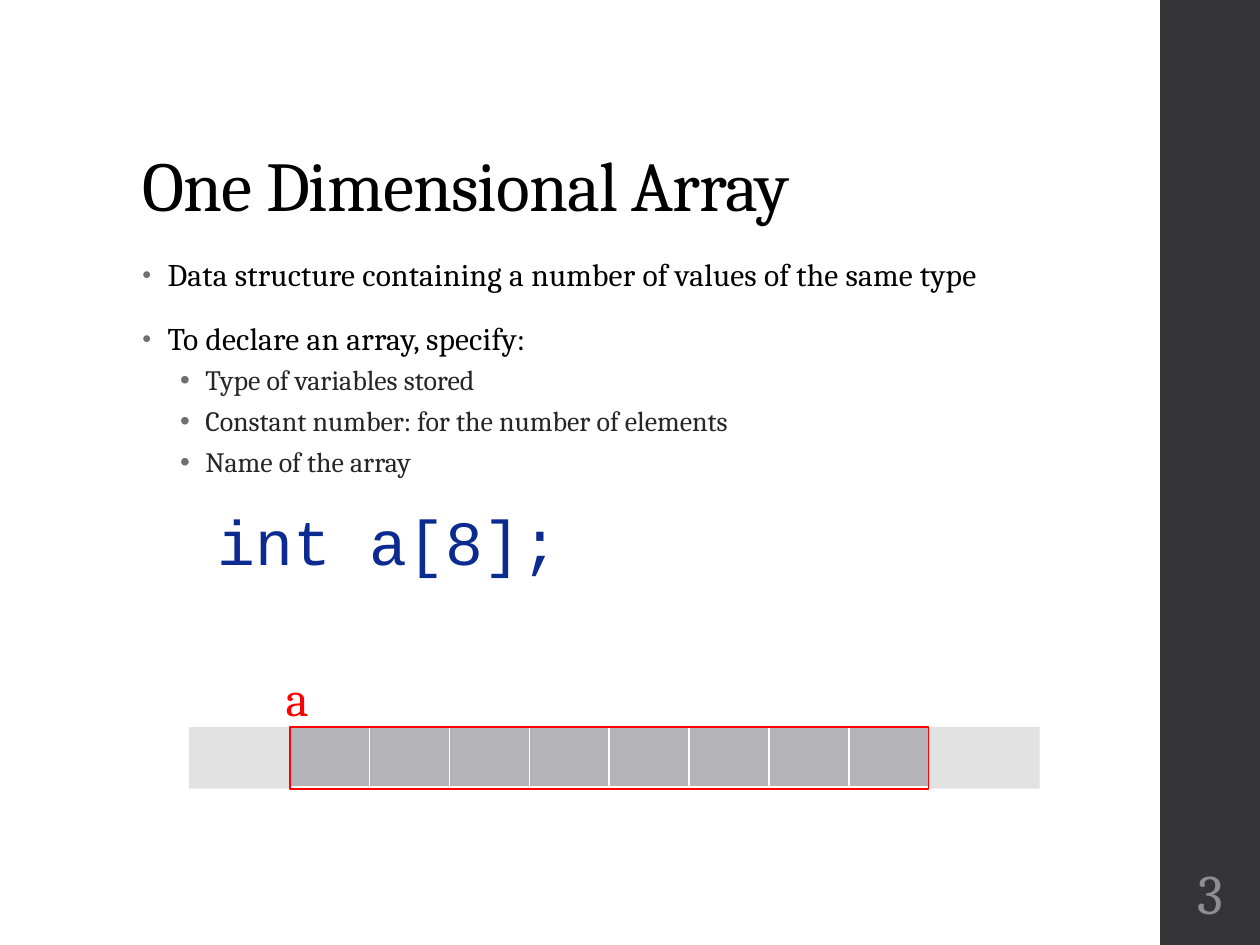
import pptx
import pptx.dml.color
import pptx.enum.shapes
import pptx.enum.text
import pptx.oxml.ns
import pptx.util
from lxml import etree

Cm, Pt = pptx.util.Cm, pptx.util.Pt
RGB = pptx.dml.color.RGBColor
ALIGN = pptx.enum.text.PP_ALIGN
ANCHOR = pptx.enum.text.MSO_ANCHOR

WHITE = RGB(0xFF, 0xFF, 0xFF)
BLACK = RGB(0, 0, 0)
CHARCOAL = RGB(0x35, 0x35, 0x37)
DARK = RGB(0x26, 0x26, 0x26)
BULLET = RGB(0x6F, 0x6F, 0x74)
NUMBER = RGB(0x8E, 0x8E, 0x94)
MEMORY = RGB(0xE2, 0xE2, 0xE3)
CELL = RGB(0xB4, 0xB4, 0xB8)
NAVY = RGB(0x0B, 0x2B, 0x91)
RED = RGB(0xFF, 0, 0)

SERIF, MONO = "Cambria", "Courier New"
CELL_COUNT, CELL_WIDTH = 8, 1.61
ARRAY_LEFT, ARRAY_TOP, ARRAY_HEIGHT = 5.84, 14.66, 1.24
ARRAY_WIDTH = CELL_COUNT * CELL_WIDTH


def add_xml(parent, tag, **attrs):
    """Append a DrawingML child element and return it."""
    return etree.SubElement(parent, pptx.oxml.ns.qn("a:" + tag), attrs)


def add_run(p, text, size, color, font=SERIF, spacing=0):
    """Add one formatted run; spacing is in hundredths of a point."""
    r = p.add_run()
    r.text = text
    r.font.size, r.font.name = Pt(size), font
    r.font.color.rgb = color
    if spacing:
        r.font._element.set("spc", str(spacing))


def set_spacing(p, line, before, after):
    """Set line spacing and the gaps around a paragraph."""
    p.line_spacing = line
    p.space_before, p.space_after = Pt(before), Pt(after)


def set_indent(p, left, hanging=0):
    """Set the left margin and hanging indent in centimetres."""
    pPr = p._p.get_or_add_pPr()
    pPr.set("marL", str(Cm(left)))
    pPr.set("indent", str(-Cm(hanging)))


def add_bullet(p, percent):
    """Give a paragraph a grey bullet."""
    pPr = p._p.get_or_add_pPr()
    add_xml(add_xml(pPr, "buClr"), "srgbClr", val=str(BULLET))
    add_xml(pPr, "buSzPct", val=str(percent * 1000))
    add_xml(pPr, "buFont", typeface="Arial")
    add_xml(pPr, "buChar", char="\u2022")


def add_box(s, left, top, width, height, fill=None, line=None):
    """Add a rectangle with an optional fill and outline."""
    sp = s.shapes.add_shape(pptx.enum.shapes.MSO_SHAPE.RECTANGLE,
                            Cm(left), Cm(top), Cm(width), Cm(height))
    sp.shadow.inherit = False
    if fill is None:
        sp.fill.background()
    else:
        sp.fill.solid()
        sp.fill.fore_color.rgb = fill
    if line is None:
        sp.line.fill.background()
    else:
        sp.line.color.rgb = line
        sp.line.width = Pt(1.1)


def add_text(s, left, top, width, height):
    """Add a wrapping text box and return its text frame."""
    tf = s.shapes.add_textbox(Cm(left), Cm(top), Cm(width), Cm(height)).text_frame
    tf.word_wrap = True
    return tf


def set_title(s, text):
    """Place and format the title placeholder."""
    sp = s.shapes.title
    sp.left, sp.top, sp.width, sp.height = Cm(2.62), Cm(1.02), Cm(20.19), Cm(3.68)
    tf = sp.text_frame
    tf.vertical_anchor = ANCHOR.BOTTOM
    tf.auto_size = pptx.enum.text.MSO_AUTO_SIZE.NONE
    p = tf.paragraphs[0]
    p.alignment = ALIGN.LEFT
    p.line_spacing = 0.9
    add_run(p, text, 40, BLACK, spacing=-50)


def add_body(s, points, code):
    """Add the two-level bullet list and the code line below it."""
    tf = add_text(s, 2.62, 5.08, 17.91, 12.09)
    p = tf.paragraphs[0]
    for level, text in points:
        p.level = level
        if level == 0:
            set_spacing(p, 0.95, 14, 2)
            set_indent(p, 0.51, 0.51)
            add_bullet(p, 80)
            add_run(p, text, 18, BLACK, spacing=10)
        else:
            set_spacing(p, 0.9, 3, 3)
            set_indent(p, 1.27, 0.51)
            add_bullet(p, 100)
            add_run(p, text, 16, DARK)
        p = tf.add_paragraph()
    set_spacing(p, 0.95, 14, 2)
    set_indent(p, 1.52)
    add_run(p, code, 36, NAVY, MONO, 10)


def add_border(cell, side, width):
    """Draw one white border of a table cell."""
    ln = add_xml(cell._tc.get_or_add_tcPr(), side, w=str(Pt(width)))
    add_xml(add_xml(ln, "solidFill"), "srgbClr", val=str(WHITE))


def add_array(s):
    """Add the row of array elements as a table."""
    table = s.shapes.add_table(1, CELL_COUNT, Cm(ARRAY_LEFT), Cm(ARRAY_TOP),
                               Cm(ARRAY_WIDTH), Cm(ARRAY_HEIGHT)).table
    for column, cell in zip(table.columns, table.iter_cells()):
        column.width = Cm(CELL_WIDTH)
        for side, width in (("lnL", 1), ("lnR", 1), ("lnT", 1), ("lnB", 3)):
            add_border(cell, side, width)
        cell.fill.solid()
        cell.fill.fore_color.rgb = CELL


def add_number(s, text):
    """Add the slide number on the side band."""
    tf = add_text(s, 23.44, 17.15, 1.91, 1.65)
    tf.margin_left = tf.margin_right = Cm(0.08)
    tf.vertical_anchor = ANCHOR.MIDDLE
    p = tf.paragraphs[0]
    p.alignment = ALIGN.CENTER
    add_run(p, text, 32, NUMBER)


def main():
    """Build the slide and save it."""
    prs = pptx.Presentation()
    prs.slide_width, prs.slide_height = Cm(25.4), Cm(19.05)
    s = prs.slides.add_slide(prs.slide_layouts[5])
    add_box(s, 23.39, 0, 2.03, 19.05, fill=CHARCOAL)
    add_box(s, 3.81, ARRAY_TOP, 17.15, ARRAY_HEIGHT, fill=MEMORY)
    set_title(s, "One Dimensional Array")
    add_body(s, [
        (0, "Data structure containing a number of values of the same type"),
        (0, "To declare an array, specify:"),
        (1, "Type of variables stored"),
        (1, "Constant number: for the number of elements"),
        (1, "Name of the array"),
    ], "int a[8];")
    add_number(s, "3")
    add_array(s)
    label = add_text(s, 5.51, 13.34, 1.47, 1.45)
    add_run(label.paragraphs[0], "a", 28, RED)
    add_box(s, ARRAY_LEFT, ARRAY_TOP, ARRAY_WIDTH, ARRAY_HEIGHT, line=RED)
    prs.save("out.pptx")


main()
